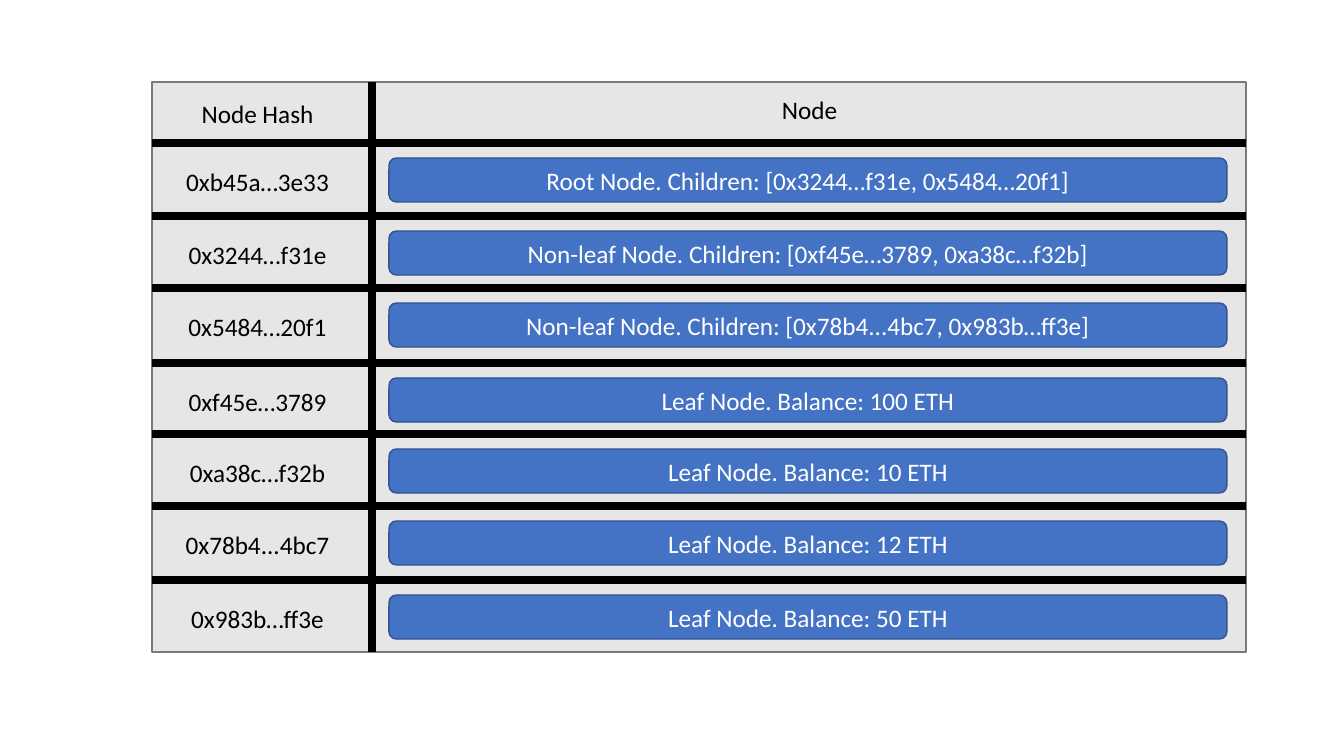
"""Build a slide with a table of node hashes and the tree nodes they point to."""
from pptx import Presentation, util as u
from pptx.dml.color import RGBColor
from pptx.enum import shapes, text
from pptx.oxml.ns import qn
from lxml import etree

HEADS = [("Node Hash", 152, 93, 211), ("Node", 372, 89, 875)]
ROWS = [
    ("0xb45a…3e33", "Root Node. Children: [0x3244…f31e, 0x5484…20f1]", 158),
    ("0x3244…f31e", "Non-leaf Node. Children: [0xf45e…3789, 0xa38c…f32b]", 231),
    ("0x5484…20f1", "Non-leaf Node. Children: [0x78b4...4bc7, 0x983b…ff3e]", 303),
    ("0xf45e…3789", "Leaf Node. Balance: 100 ETH", 378),
    ("0xa38c…f32b", "Leaf Node. Balance: 10 ETH", 449),
    ("0x78b4...4bc7", "Leaf Node. Balance: 12 ETH", 521),
    ("0x983b…ff3e", "Leaf Node. Balance: 50 ETH", 595),
]
LEFT, TOP, WIDTH, HIGH = 152, 82, 1094, 570
SPLIT, GAP = 372, 15
FONT = {"name": "Calibri", "size": u.Pt(18)}
BOX = {"word_wrap": True, "auto_size": text.MSO_AUTO_SIZE.SHAPE_TO_FIT_TEXT}
BAR = {"word_wrap": True, "vertical_anchor": text.MSO_ANCHOR.MIDDLE}


def px(*vals):
    return [round(v * 914400 / 100.8) for v in vals]


def tint(hue):
    return RGBColor.from_string(hue)


def put(obj, vals):
    for key, val in vals.items():
        setattr(obj, key, val)


def write(shape, words, hue, frame):
    put(shape.text_frame, frame)
    para = shape.text_frame.paragraphs[0]
    para.alignment = text.PP_ALIGN.CENTER
    run = para.add_run()
    run.text = words
    put(run.font, FONT)
    run.font.color.rgb = tint(hue)


def block(kind, area, fill, edge):
    shape = slide.shapes.add_shape(kind, *px(*area))
    shape.shadow.inherit = False
    shape.fill.solid()
    shape.fill.fore_color.rgb = tint(fill)
    shape.line.color.rgb = tint(edge)
    shape.line.width = u.Pt(1)
    return shape


def rule(*ends):
    line = slide.shapes.add_connector(shapes.MSO_CONNECTOR.STRAIGHT, *px(*ends))
    line.line.color.rgb = tint("000000")
    line.line.width = u.Pt(6)
    etree.SubElement(line._element.spPr, qn("a:effectLst"))


def label(words, left, top, width):
    box = slide.shapes.add_textbox(*px(left, top, width, 40))
    write(box, words, "000000", BOX)


deck = Presentation()
deck.slide_width, deck.slide_height = px(1344, 756)
slide = deck.slides.add_slide(deck.slide_layouts[6])

block(shapes.MSO_SHAPE.RECTANGLE, (LEFT, TOP, WIDTH, HIGH), "E7E6E6", "7A7A7A")
rule(SPLIT, TOP, SPLIT, TOP + HIGH)
for key, node, top in ROWS:
    rule(LEFT, top - GAP, LEFT + WIDTH, top - GAP)
    bar = block(shapes.MSO_SHAPE.ROUNDED_RECTANGLE, (389, top, 838, 44), "4472C4", "325491")
    write(bar, node, "FFFFFF", BAR)
    label(key, LEFT, top + 3, 211)
for head in HEADS:
    label(*head)

deck.save("out.pptx")
